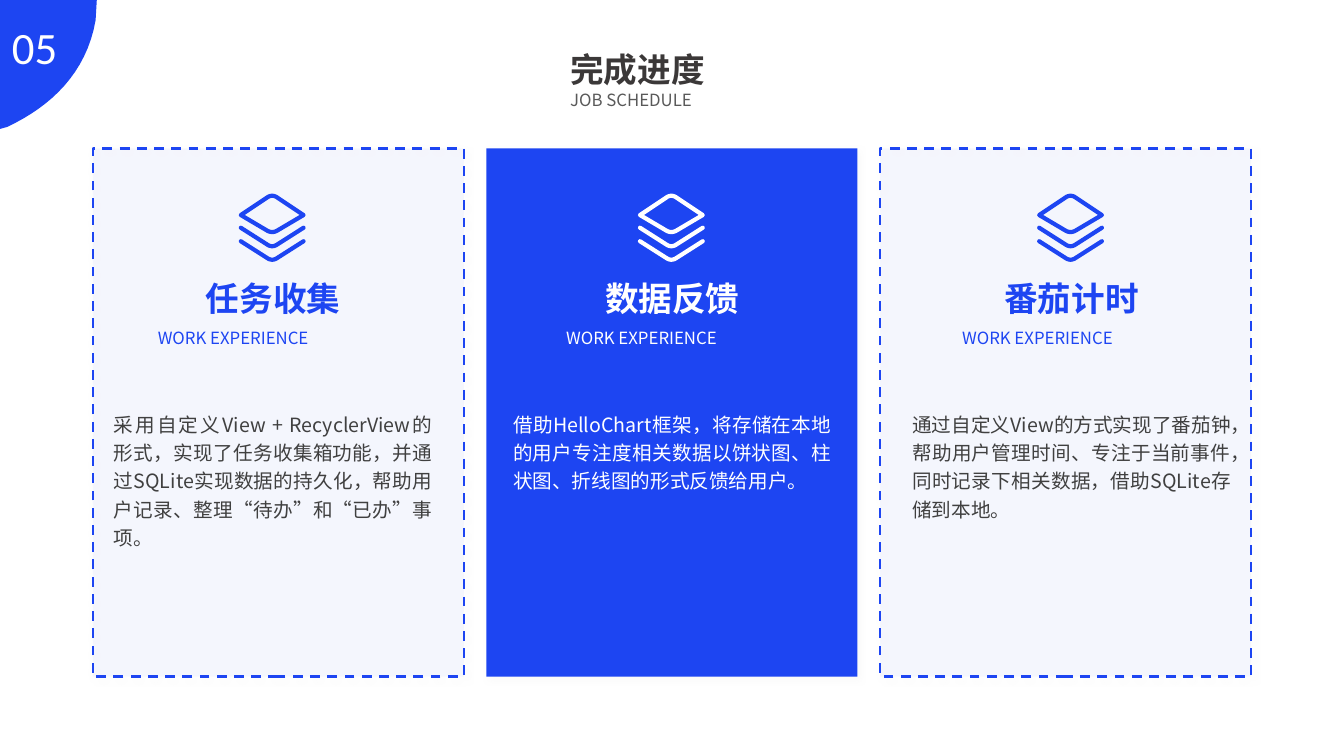
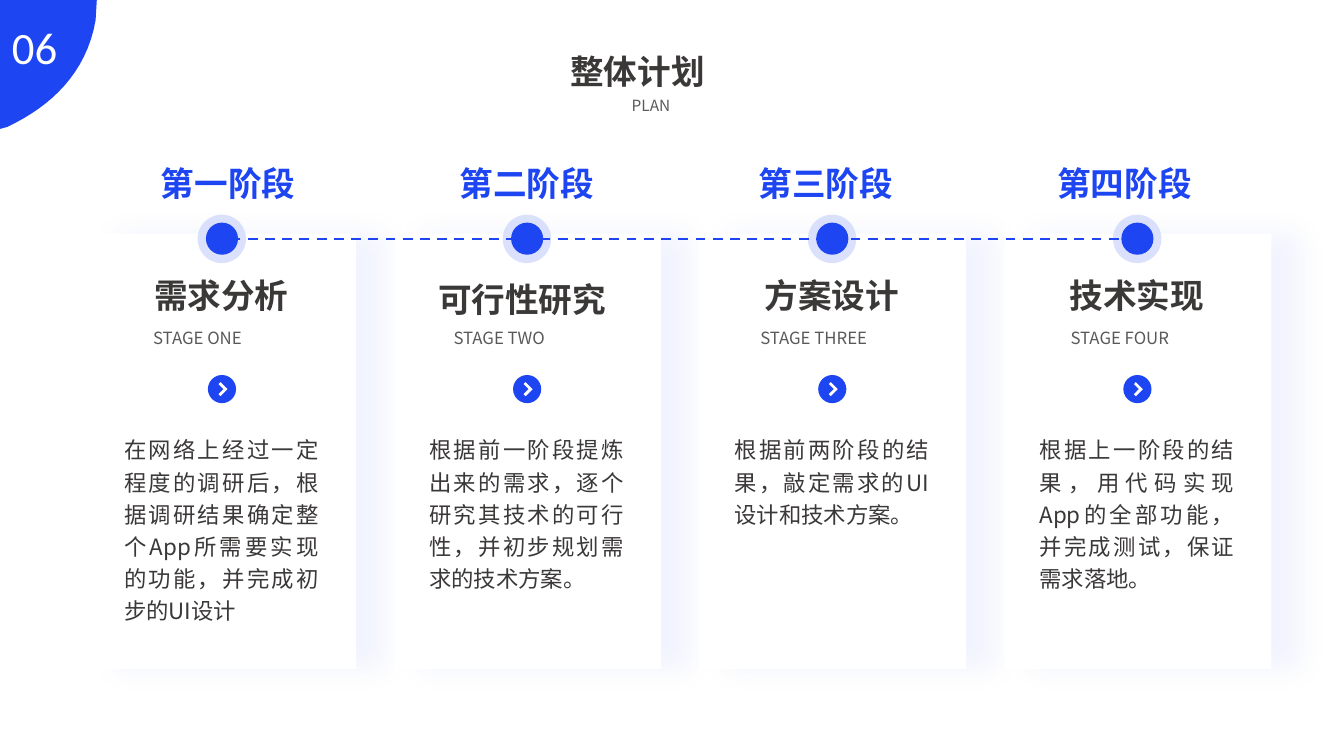
from lxml.etree import SubElement
from pptx import Presentation
from pptx.dml.color import RGBColor
from pptx.enum.dml import MSO_LINE
from pptx.enum.shapes import MSO_CONNECTOR, MSO_SHAPE
from pptx.enum.text import MSO_ANCHOR, MSO_AUTO_SIZE, PP_ALIGN
from pptx.oxml.ns import qn
from pptx.util import Cm, Pt

BLUE, WHITE, PALE, HALO = "1D45F2", "FFFFFF", "A5B5FA", "D2DAFC"
DARK, GREY, BODY = "3B3838", "595959", "404040"
SANS = "Noto Sans CJK SC"
MID, JUST = PP_ALIGN.CENTER, PP_ALIGN.JUSTIFY
FAINT = ("F2F2F2", 40, 4, 3, 45)
GLOW = (BLUE, 5, 20, 20, 0)


def look(size, align=JUST, line=None, bold=False, before=None, name=SANS):
    """Return the font and paragraph values of a text style."""
    return {"font": {"size": Pt(size), "bold": bold, "name": name},
            "para": {"alignment": align, "line_spacing": line,
                     "space_before": before}}


TITLE = look(24, line=0.9, bold=True)
HEAD = look(24, MID, bold=True)
TIGHT = look(24, MID, 0.9, True)
TAG = look(12)
STAGE = look(12, line=0.9)
NOTE = look(14, line=1.2, before=Pt(10))
PLAN = look(16, line=1.2)
COUNT = look(32, PP_ALIGN.LEFT, name="Calibri")


def tint(text):
    """Turn a hex string into a colour."""
    return RGBColor.from_string(text)


def put(item, values):
    """Set each attribute named in a dict."""
    for key, value in values.items():
        setattr(item, key, value)


def write(shape, words, style, hue, wrap=True):
    """Fill a text shape with one styled paragraph."""
    frame = shape.text_frame
    put(frame, {"word_wrap": wrap, "auto_size": MSO_AUTO_SIZE.NONE,
                "vertical_anchor": MSO_ANCHOR.TOP})
    para = frame.paragraphs[0]
    put(para, style["para"])
    run = para.add_run()
    run.text = words
    put(run.font, style["font"])
    run.font.color.rgb = tint(hue)
    east = SubElement(run.font._element, qn("a:ea"))
    east.set("typeface", style["font"]["name"])


def label(slide, box, words, style, hue, wrap=True):
    """Add a text box at a box given in centimetres."""
    shape = slide.shapes.add_textbox(*map(Cm, box))
    write(shape, words, style, hue, wrap)


def paint(shape, fill=None, line=None, width=1.75, dash=False, alpha=None,
          shade=None):
    """Set the fill, line and shadow of a shape."""
    shape.shadow.inherit = False
    if fill:
        shape.fill.solid()
        shape.fill.fore_color.rgb = tint(fill)
    else:
        shape.fill.background()
    if line:
        shape.line.color.rgb = tint(line)
        shape.line.width = Pt(width)
        if dash:
            shape.line.dash_style = MSO_LINE.DASH
    else:
        shape.line.fill.background()
    props = shape._element.spPr
    if alpha:
        hue = props.find(qn("a:solidFill")).find(qn("a:srgbClr"))
        SubElement(hue, qn("a:alpha")).set("val", str(alpha * 1000))
    if shade:
        cast(props.find(qn("a:effectLst")), *shade)


def cast(effects, hue, alpha, blur, gap, angle):
    """Add an outer shadow to an effect list."""
    outer = SubElement(effects, qn("a:outerShdw"), {
        "blurRad": str(Pt(blur)), "dist": str(Pt(gap)),
        "dir": str(angle * 60000), "algn": "ctr", "rotWithShape": "0"})
    ink = SubElement(outer, qn("a:srgbClr"), val=hue)
    SubElement(ink, qn("a:alpha"), val=str(alpha * 1000))


def block(slide, kind, box, **paints):
    """Add a painted preset shape."""
    shape = slide.shapes.add_shape(kind, *map(Cm, box))
    paint(shape, **paints)
    return shape


def curve(start, pull, push, end, steps=16):
    """Sample a cubic curve as a list of points."""
    points = []
    for step in range(steps + 1):
        t = step / steps
        parts = ((1 - t) ** 3, 3 * t * (1 - t) ** 2, 3 * t * t * (1 - t), t ** 3)
        points.append(tuple(
            sum(p * k[axis] for p, k in zip(parts, (start, pull, push, end)))
            for axis in (0, 1)))
    return points


def outline(slide, left, top, *routes):
    """Build one freeform from (points, closed) routes."""
    pen = None
    for points, closed in routes:
        first, *rest = [(Cm(x), Cm(y)) for x, y in points]
        if pen is None:
            pen = slide.shapes.build_freeform(*first, scale=1.0)
        else:
            pen.move_to(*first)
        pen.add_line_segments(rest, close=closed)
    return pen.convert_to_shape(Cm(left), Cm(top))


def layers(slide, left, top, hue):
    """Draw the icon of three stacked sheets."""
    roof = curve((0.74, 0.1), (0.82, 0.04), (0.92, 0.04), (1, 0.1))
    base = curve((1, 0.93), (0.92, 0.98), (0.82, 0.98), (0.74, 0.93))
    routes = [([(0.08, 0.54), *roof, (1.66, 0.54), *base], True)]
    for drop in (0, 0.34):
        bend = curve((0.74, 1.28 + drop), (0.82, 1.34 + drop),
                     (0.92, 1.34 + drop), (1, 1.28 + drop))
        routes.append(([(0.08, 0.86 + drop), *bend, (1.66, 0.86 + drop)], False))
    icon = outline(slide, left, top, *routes)
    paint(icon, line=hue, width=3)
    icon._element.spPr.find(qn("a:ln")).set("cap", "rnd")


def frame(deck, count, title, top, under, box, size):
    """Add a slide with its corner, number, title and subtitle."""
    slide = deck.slides.add_slide(deck.slide_layouts[5])
    bow = curve((2.41, 0.51), (2.18, 1.85), (1.27, 2.69), (0.18, 3.2))
    corner = outline(slide, 0, 0, ([(0, 0), (2.44, 0), *bow, (0, 3.25)], True))
    paint(corner, BLUE)
    name = slide.shapes.title
    put(name, {"left": Cm(14.12), "top": Cm(top),
               "width": Cm(5.61), "height": Cm(1.17)})
    write(name, title, TITLE, DARK)
    label(slide, box, under, look(size), GREY)
    label(slide, (0.05, 0.38, 1.75, 1.63), count, COUNT, WHITE, False)
    return slide


def card(slide, box, left, shift, head, words, full):
    """Add a card with its text column starting at left."""
    top = box[1]
    if full:
        fill, hue, ink = {"fill": BLUE}, WHITE, WHITE
    else:
        fill, hue, ink = {"fill": PALE, "alpha": 10, "line": BLUE,
                          "dash": True}, BLUE, BODY
    block(slide, MSO_SHAPE.RECTANGLE, box, shade=FAINT, **fill)
    layers(slide, left + 3.37, top + 1.14, hue)
    label(slide, (left + 0.43, top + 3.14, 7.67, 1.4), head, HEAD, hue)
    label(slide, (left + shift, top + 4.39, 6, 1.4), "WORK EXPERIENCE", TAG, hue)
    label(slide, (left, top + 6.42, 8.53, 3.15), words, NOTE, ink)


def stage(slide, box, left, phase, name, nudge, tag, shift, words):
    """Add a stage card whose phase heading starts at left."""
    x, y = box[:2]
    block(slide, MSO_SHAPE.RECTANGLE, box, fill=WHITE, shade=GLOW)
    right, down = nudge
    label(slide, (x + 0.85 + right, y + 1.04 + down, 4.98, 1.17), name, TIGHT, DARK)
    label(slide, (x + shift, y + 2.31, 4.2, 0.71), tag, STAGE, GREY)
    block(slide, MSO_SHAPE.OVAL, (x + 3, y + 3.56, 0.71, 0.71), fill=BLUE)
    arrow = block(slide, MSO_SHAPE.CORNER, (x + 3.19, y + 3.79, 0.25, 0.25),
                  fill=WHITE)
    arrow.rotation = 225
    arrow.adjustments[0], arrow.adjustments[1] = 0.27, 0.29
    label(slide, (x + 0.64, y + 4.85, 5.41, 5.1), words, PLAN, DARK)
    block(slide, MSO_SHAPE.OVAL, (x + 2.74, y - 0.48, 1.22, 1.22),
          fill=HALO, alpha=80)
    block(slide, MSO_SHAPE.OVAL, (x + 2.95, y - 0.28, 0.81, 0.81), fill=BLUE)
    label(slide, (left, y - 1.8, 6.02, 1.17), phase, TIGHT, BLUE)


def track(slide, start, end, y):
    """Add the dashed line that joins the stages."""
    line = slide.shapes.add_connector(MSO_CONNECTOR.STRAIGHT,
                                      *map(Cm, (start, y, end, y)))
    put(line.line, {"width": Pt(1.75), "dash_style": MSO_LINE.DASH})
    line.line.color.rgb = tint(BLUE)
    SubElement(line._element.spPr, qn("a:effectLst"))


def cards(deck):
    """Build the slide of finished work."""
    slide = frame(deck, "05", "完成进度", 1.22, "JOB SCHEDULE",
                  (14.12, 2.13, 5.61, 0.76), 12)
    rows = [
        (1.11, "任务收集", "采用自定义View + RecyclerView的形式，实现了任务收集箱功能，"
         "并通过SQLite实现数据的持久化，帮助用户记录、整理“待办”和“已办”事项。"),
        (1.34, "数据反馈", "借助HelloChart框架，将存储在本地的用户专注度相关数据"
         "以饼状图、柱状图、折线图的形式反馈给用户。"),
        (1.26, "番茄计时", "通过自定义View的方式实现了番茄钟，帮助用户管理时间、"
         "专注于当前事件，同时记录下相关数据，借助SQLite存储到本地。"),
    ]
    for i, row in enumerate(rows):
        card(slide, (2.34 + 9.92 * i, 3.74, 9.35, 13.31), 2.62 + 10.06 * i,
             *row, full=i == 1)


def stages(deck):
    """Build the slide of the overall plan."""
    slide = frame(deck, "06", "整体计划", 1.27, "PLAN",
                  (15.67, 2.29, 2.51, 0.74), 11)
    rows = [
        ("第一阶段", "需求分析", (0, 0), "STAGE ONE", 1.37,
         "在网络上经过一定程度的调研后，根据调研结果确定整个App所需要实现的功能，"
         "并完成初步的UI设计"),
        ("第二阶段", "可行性研究", (-0.11, 0.08), "STAGE TWO", 1.25,
         "根据前一阶段提炼出来的需求，逐个研究其技术的可行性，并初步规划需求的技术方案。"),
        ("第三阶段", "方案设计", (0, 0), "STAGE THREE", 1.29,
         "根据前两阶段的结果，敲定需求的UI设计和技术方案。"),
        ("第四阶段", "技术实现", (0, 0), "STAGE FOUR", 1.42,
         "根据上一阶段的结果，用代码实现App的全部功能，并完成测试，保证需求落地。"),
    ]
    for i, row in enumerate(rows):
        stage(slide, (2.24 + 7.69 * i, 5.89, 6.73, 10.97), 2.74 + 7.53 * i, *row)
    track(slide, 29.06, 5.18, 6.02)


def main():
    """Build and save the deck."""
    deck = Presentation()
    put(deck, {"slide_width": Cm(33.87), "slide_height": Cm(19.05)})
    cards(deck)
    stages(deck)
    deck.save("out.pptx")


main()
